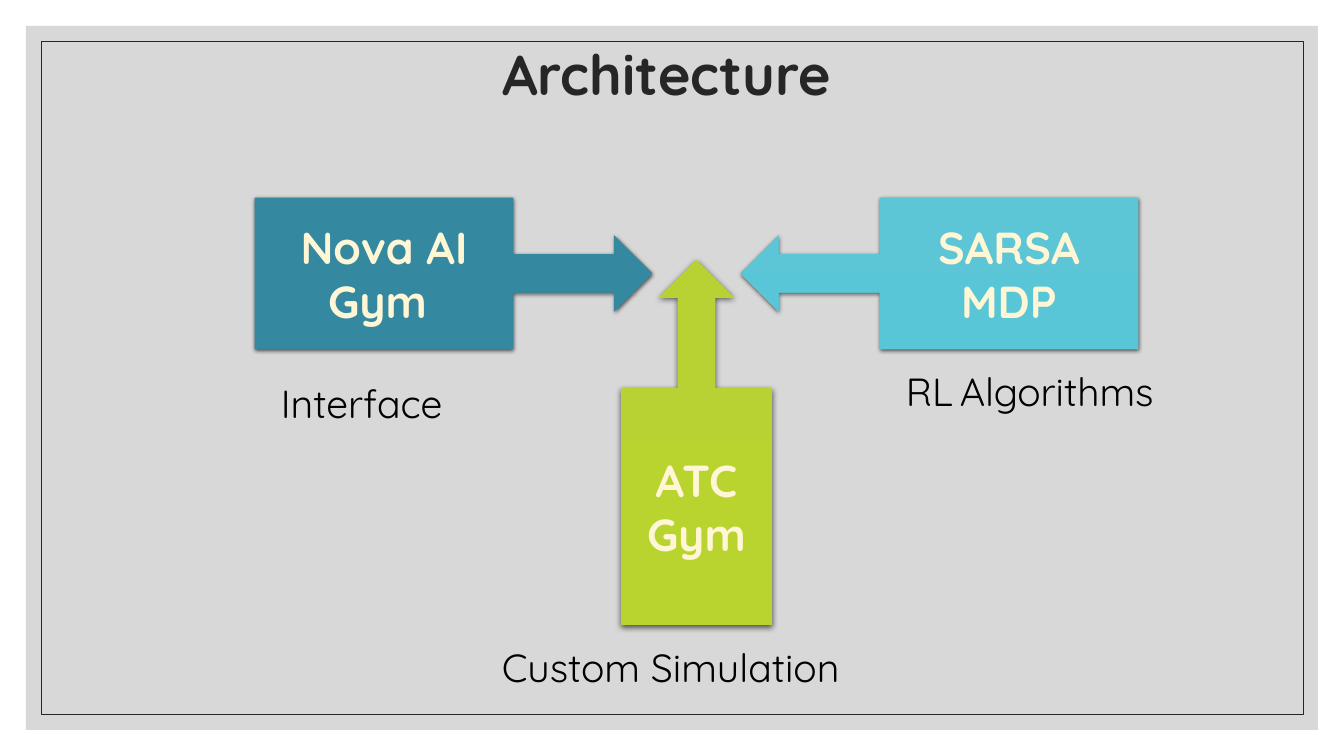
from lxml.etree import SubElement
from pptx import Presentation
from pptx.dml.color import RGBColor
from pptx.enum.shapes import MSO_SHAPE as Shape
from pptx.enum.text import MSO_ANCHOR as Anchor, MSO_AUTO_SIZE as AutoSize, PP_ALIGN as Align
from pptx.oxml.ns import qn
from pptx.util import Emu, Pt

SCALE = 914400 / 100.8
FONT = "Quicksand"
DARK, CREAM, BLACK = "262626", "FEF6D5", "000000"


def px(*lengths):
    """Turn pixel lengths into EMU."""
    return [Emu(round(length * SCALE)) for length in lengths]


def color(value):
    """Turn a hex string into a colour."""
    return RGBColor.from_string(value)


def write(box, *paragraphs, size, ink, bold=False, align=Align.LEFT,
          anchor=Anchor.TOP, spacing=None, gap=None):
    """Write paragraphs; words joined by '|' get a space of size gap."""
    frame = box.text_frame
    frame.word_wrap = True
    frame.vertical_anchor = anchor
    for index, text in enumerate(paragraphs):
        para = frame.add_paragraph() if index else frame.paragraphs[0]
        para.alignment = align
        para.line_spacing = spacing
        for piece in text.replace("|", "\n \n").split("\n"):
            span = para.add_run()
            span.text = piece
            span.font.name = FONT
            span.font.size = Pt(gap if gap and piece == " " else size)
            span.font.bold = bold
            span.font.color.rgb = color(ink)


def add_panel(page, place, fill=None, alpha=100, line=None):
    """Add a plain background rectangle, filled or outlined."""
    panel = page.shapes.add_shape(Shape.RECTANGLE, *px(*place))
    panel.shadow.inherit = False
    if fill:
        panel.fill.solid()
        panel.fill.fore_color.rgb = color(fill)
        tint = panel.fill._xPr.find(".//" + qn("a:srgbClr"))
        SubElement(tint, qn("a:alpha"), val=str(alpha * 1000))
    else:
        panel.fill.background()
    if line:
        panel.line.color.rgb = color(line)
        panel.line.width = Pt(0.5)
    else:
        panel.line.fill.background()


def add_shadow(shape, blur, distance):
    """Give a shape a soft shadow straight below it."""
    shape.shadow.inherit = False
    effects = shape._element.spPr.find(qn("a:effectLst"))
    shadow = SubElement(effects, qn("a:outerShdw"), blurRad=str(Pt(blur)),
                        dist=str(Pt(distance)), dir="5400000",
                        algn="ctr", rotWithShape="0")
    tint = SubElement(shadow, qn("a:srgbClr"), val=BLACK)
    SubElement(tint, qn("a:alpha"), val="63000")


def add_callout(page, kind, place, shades, *paragraphs, outlined=True, gap=None):
    """Add an arrow callout with a vertical gradient and a centred label."""
    callout = page.shapes.add_shape(kind, *px(*place))
    callout.fill.gradient()
    callout.fill.gradient_angle = 270
    for stop, shade in zip(callout.fill.gradient_stops, shades):
        stop.color.rgb = color(shade)
    if outlined:
        callout.line.color.rgb = color(shades[0])
        callout.line.width = Pt(0.5)
        add_shadow(callout, 3, 1)
    else:
        callout.line.fill.background()
        add_shadow(callout, 4.5, 1.5)
    write(callout, *paragraphs, size=32, ink=CREAM, bold=True,
          align=Align.CENTER, anchor=Anchor.MIDDLE, gap=gap)


def add_caption(page, place, text, gap=None):
    """Add a caption below a callout."""
    box = page.shapes.add_textbox(*px(*place))
    write(box, text, size=28, ink=BLACK, gap=gap)
    box.text_frame.auto_size = AutoSize.SHAPE_TO_FIT_TEXT


def add_title(page, place, text):
    """Place the title placeholder in front of the panels."""
    title = page.shapes.title
    title.left, title.top, title.width, title.height = px(*place)
    page.shapes._spTree.append(title._element)
    write(title, text, size=40, ink=DARK, bold=True,
          anchor=Anchor.MIDDLE, spacing=0.9)


def main():
    """Build the architecture slide."""
    deck = Presentation()
    deck.slide_width, deck.slide_height = px(1344, 756)
    page = deck.slides.add_slide(deck.slide_layouts[5])

    add_panel(page, (26, 26, 1292, 704), fill="BFBFBF", alpha=60)
    add_panel(page, (41, 41, 1262, 673), line=DARK)
    add_title(page, (492, 2, 1109, 151), "Architecture")

    add_callout(page, Shape.RIGHT_ARROW_CALLOUT, (255, 198, 397, 151),
                ("3488A0", "3188A1"), "Nova AI Gym ")
    add_callout(page, Shape.LEFT_ARROW_CALLOUT, (741, 198, 397, 151),
                ("5CC6D6", "58C6D7"), "SARSA", "MDP")
    add_callout(page, Shape.UP_ARROW_CALLOUT, (621, 260, 151, 365),
                ("B8D233", "B9D42F"), "ATC|Gym", outlined=False, gap=18)

    add_caption(page, (271, 374, 262, 57), "Interface")
    add_caption(page, (492, 638, 380, 57), "Custom Simulation")
    add_caption(page, (896, 362, 286, 57), "RL|Algorithms", gap=18)

    deck.save("out.pptx")


if __name__ == "__main__":
    main()
